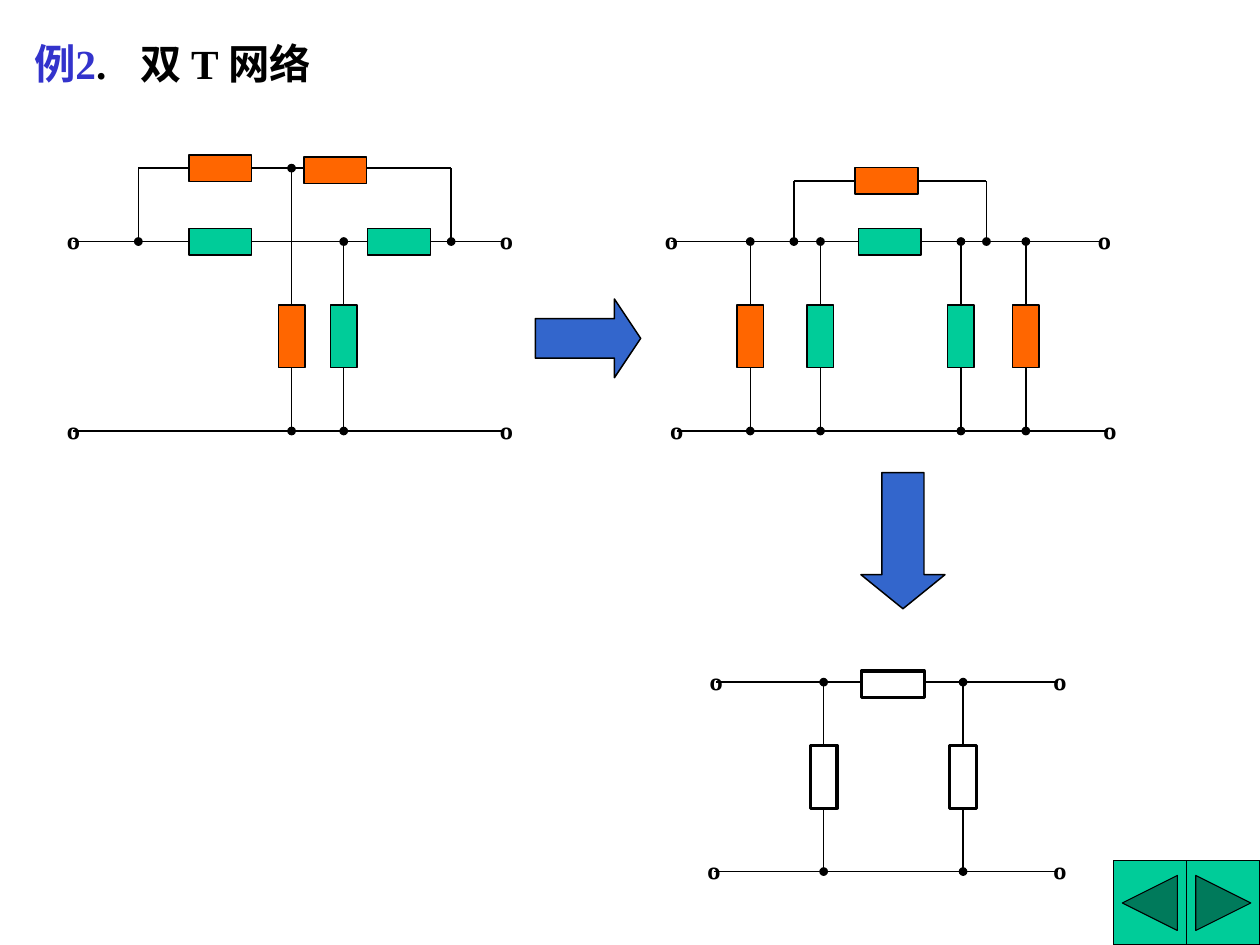
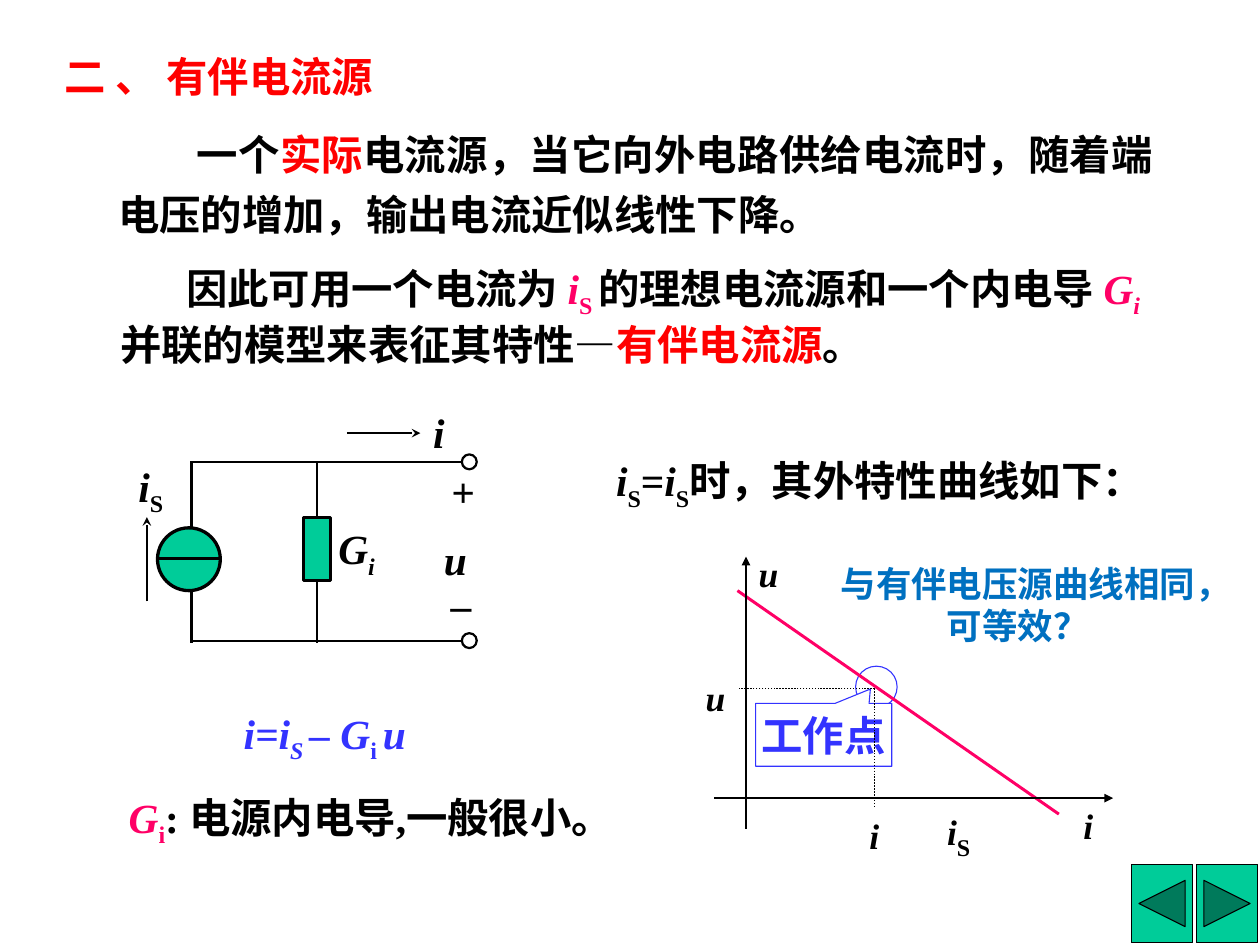
from lxml import etree
from pptx import Presentation
from pptx import util as u
from pptx.dml.color import RGBColor
from pptx.enum import dml, lang, shapes, text
from pptx.oxml import ns

BLACK = RGBColor(0x00, 0x00, 0x00)
WHITE = RGBColor(0xFF, 0xFF, 0xFF)
GREEN = RGBColor(0x00, 0xCC, 0x99)
ORANGE = RGBColor(0xFF, 0x66, 0x00)
ARROW_BLUE = RGBColor(0x33, 0x66, 0xCC)
TITLE_BLUE = RGBColor(0x33, 0x33, 0xCC)
BRIGHT_BLUE = RGBColor(0x33, 0x33, 0xFF)
NOTE_BLUE = RGBColor(0x00, 0x70, 0xC0)
RED = RGBColor(0xFF, 0x00, 0x00)
PINK = RGBColor(0xFF, 0x00, 0x66)

SHAPE = shapes.MSO_SHAPE
ALIGN = text.PP_ALIGN
MIDDLE = text.MSO_ANCHOR.MIDDLE
FIT = text.MSO_AUTO_SIZE.SHAPE_TO_FIT_TEXT

# Run formats
PLAIN = {}
VARIABLE = {"italic": True}
SUB = {"baseline": -25000}
SUB_ITALIC = {**VARIABLE, **SUB}


class Deck:
    """Holds the shared style and the slide being drawn."""

    FONT = {"name": "Times New Roman", "bold": True, "italic": False,
            "language_id": lang.MSO_LANGUAGE_ID.SIMPLIFIED_CHINESE}
    INSETS = (0.12, 0.06)
    RESISTOR = (0.25, 0.59)

    def __init__(self, width, height):
        self.presentation = Presentation()
        self.presentation.slide_width = u.Inches(width)
        self.presentation.slide_height = u.Inches(height)
        self.slide = None

    def new_slide(self, layout, button_left, button_top, button_width, button_height, step):
        """Add a slide with its pair of navigation buttons."""
        self.slide = self.presentation.slides.add_slide(self.presentation.slide_layouts[layout])
        kinds = (SHAPE.ACTION_BUTTON_BACK_OR_PREVIOUS, SHAPE.ACTION_BUTTON_FORWARD_OR_NEXT)
        for number, kind in enumerate(kinds):
            self.shape(kind, button_left + number * step, button_top,
                       button_width, button_height, GREEN, weight=0.75)

    def place(self, shape, left, top, width, height):
        values = {"left": left, "top": top, "width": width, "height": height}
        for name, value in values.items():
            setattr(shape, name, u.Inches(value))

    def set_text(self, shape, runs, size=28, align=ALIGN.LEFT, anchor=text.MSO_ANCHOR.TOP,
                 indent=0, spacing=1.0, tab=None, wrap=True, fit=FIT, insets=INSETS):
        """Fill a shape with one paragraph of (text, colour, format) runs."""
        frame = shape.text_frame
        side, edge = (u.Inches(value) for value in insets)
        settings = {"word_wrap": wrap, "auto_size": fit, "vertical_anchor": anchor,
                    "margin_left": side, "margin_right": side,
                    "margin_top": edge, "margin_bottom": edge}
        for name, value in settings.items():
            setattr(frame, name, value)
        paragraph = frame.paragraphs[0]
        settings = {"alignment": align, "line_spacing": spacing, "space_before": u.Pt(0)}
        for name, value in settings.items():
            setattr(paragraph, name, value)
        properties = paragraph._p.get_or_add_pPr()
        properties.set("marL", "0")
        properties.set("indent", str(u.Inches(indent)))
        etree.SubElement(properties, ns.qn("a:buNone"))
        if tab:
            tabs = etree.SubElement(properties, ns.qn("a:tabLst"))
            etree.SubElement(tabs, ns.qn("a:tab"), pos=str(u.Inches(tab)), algn="l")
        for words, colour, style in runs:
            run = paragraph.add_run()
            run.text = words
            values = {**self.FONT, "size": u.Pt(size), **style}
            baseline = values.pop("baseline", None)
            for name, value in values.items():
                setattr(run.font, name, value)
            run.font.color.rgb = colour
            if baseline:
                run._r.get_or_add_rPr().set("baseline", str(baseline))

    def title(self, left, top, runs, **options):
        self.place(self.slide.shapes.title, left, top, 3.5, 0.59)
        self.set_text(self.slide.shapes.title, runs, **options)

    def body(self, index, left, top, width, height, runs, **options):
        placeholder = self.slide.placeholders[index]
        self.place(placeholder, left, top, width, height)
        self.set_text(placeholder, runs, **options)

    def label(self, left, top, width, height, runs, **options):
        box = self.slide.shapes.add_textbox(*map(u.Inches, (left, top, width, height)))
        self.set_text(box, runs, **options)

    def shape(self, kind, left, top, width, height, fill=None, line=BLACK, weight=1.0,
              adjustments=()):
        shape = self.slide.shapes.add_shape(kind, *map(u.Inches, (left, top, width, height)))
        shape.shadow.inherit = False
        if fill is None:
            shape.fill.background()
        else:
            shape.fill.solid()
            shape.fill.fore_color.rgb = fill
        shape.line.color.rgb = line
        shape.line.width = u.Pt(weight)
        for number, value in enumerate(adjustments):
            shape.adjustments[number] = value
        return shape

    def wire(self, x1, y1, x2, y2, colour=BLACK, weight=1.0, head=None, tail=None, dash=None):
        connector = self.slide.shapes.add_connector(
            shapes.MSO_CONNECTOR.STRAIGHT, *map(u.Inches, (x1, y1, x2, y2)))
        connector.line.color.rgb = colour
        connector.line.width = u.Pt(weight)
        if dash:
            connector.line.dash_style = dash
        properties = connector._element.spPr
        for end, kind in (("a:headEnd", head), ("a:tailEnd", tail)):
            if kind:
                etree.SubElement(properties.get_or_add_ln(), ns.qn(end), type=kind)
        etree.SubElement(properties, ns.qn("a:effectLst"))

    def resistor(self, x, y, colour, weight=1.0, flat=False):
        """Draw a resistor centred on (x, y)."""
        width, height = reversed(self.RESISTOR) if flat else self.RESISTOR
        self.shape(SHAPE.RECTANGLE, x - width / 2, y - height / 2, width, height,
                   colour, weight=weight)

    def rail(self, left, right, y):
        """Draw a horizontal wire with a terminal mark at each end."""
        self.wire(left, y, right, y)
        for x in (left - 0.12, right - 0.1):
            self.label(x, y - 0.22, 0.24, 0.58, [("º", BLACK, PLAIN)],
                       align=ALIGN.CENTER, anchor=MIDDLE)

    def shunt(self, x, top, bottom, colour, weight=1.0):
        """Draw a vertical branch with nodes at both ends."""
        self.wire(x, top, x, bottom, head="oval", tail="oval")
        self.resistor(x, bottom - 0.89, colour, weight)

    def bridge(self, left, right, top, bottom):
        """Draw a wire that loops over a rail."""
        self.wire(left, top, right, top)
        for x in (left, right):
            self.wire(x, top, x, bottom, tail="oval")


def build_twin_t(deck):
    deck.new_slide(5, 10.46, 8.09, 0.69, 0.79, 0.69)
    deck.title(0.2, 0.3, [("例2", TITLE_BLUE, PLAIN), (".\t双 T 网络", BLACK, PLAIN)], tab=1.15)

    # Conversion arrows
    deck.shape(SHAPE.RIGHT_ARROW, 5.03, 2.81, 0.99, 0.74, ARROW_BLUE, adjustments=(0.5, 0.333))
    deck.shape(SHAPE.DOWN_ARROW, 8.09, 4.44, 0.79, 1.28, ARROW_BLUE, adjustments=(0.5, 0.405))

    # Rails and loops of the three networks
    top, bottom = 2.27, 4.05
    last_top, last_bottom = 6.41, 8.19
    for rail in ((0.69, 4.74, top), (0.69, 4.74, bottom),
                 (6.31, 10.36, top), (6.36, 10.41, bottom),
                 (6.73, 9.94, last_top), (6.71, 9.94, last_bottom)):
        deck.rail(*rail)
    deck.bridge(1.3, 4.24, 1.58, top)
    deck.bridge(7.46, 9.27, 1.7, top)

    # Vertical branches
    deck.shunt(2.74, 1.58, bottom, ORANGE)
    for x, colour in ((3.23, GREEN), (7.05, ORANGE), (7.71, GREEN), (9.03, GREEN), (9.64, ORANGE)):
        deck.shunt(x, top, bottom, colour)
    for x in (7.74, 9.05):
        deck.shunt(x, last_top, last_bottom, WHITE, 2.25)

    # Series resistors
    for x, y, colour in ((2.07, 1.58, ORANGE), (3.15, 1.6, ORANGE), (2.07, top, GREEN),
                         (3.75, top, GREEN), (8.33, 1.7, ORANGE), (8.36, top, GREEN)):
        deck.resistor(x, y, colour, flat=True)
    deck.resistor(8.39, 6.43, WHITE, 2.25, flat=True)


def build_current_source(deck):
    deck.new_slide(3, 10.63, 8.12, 0.58, 0.74, 0.61)
    deck.title(0.49, 0.42, [("二 、 有伴电流源", RED, PLAIN)])
    deck.body(1, 0.99, 1.06, 9.97, 1.24, [
        ("一个", BLACK, PLAIN), ("实际", RED, PLAIN),
        ("电流源，当它向外电路供给电流时，随着端电压的增加，输出电流近似线性下降。", BLACK, PLAIN),
    ], align=ALIGN.JUSTIFY, indent=0.74, spacing=1.2)
    deck.body(2, 1.01, 2.41, 10.23, 1.05, [
        ("因此可用一个电流为 ", BLACK, PLAIN), ("i", PINK, VARIABLE), ("S ", PINK, SUB),
        ("的理想电流源和一个内电导 ", BLACK, PLAIN), ("G", PINK, VARIABLE),
        ("i ", PINK, SUB_ITALIC), ("并联的模型来表征其特性—", BLACK, PLAIN),
        ("有伴电流源", RED, PLAIN), ("。", BLACK, PLAIN),
    ], indent=0.62)

    # Operating point on the characteristic
    deck.shape(SHAPE.OVAL, 8.04, 6.26, 0.39, 0.39, WHITE, BRIGHT_BLUE, 0.75)
    callout = deck.shape(SHAPE.RECTANGULAR_CALLOUT, 7.1, 6.61, 1.28, 0.59, WHITE, BRIGHT_BLUE,
                         0.75, (0.343, -0.73))
    deck.set_text(callout, [("工作点", BRIGHT_BLUE, PLAIN)], align=ALIGN.CENTER, anchor=MIDDLE,
                  wrap=False, fit=text.MSO_AUTO_SIZE.NONE)
    deck.wire(9.95, 7.65, 6.93, 5.55, PINK, 2)
    deck.wire(6.71, 7.5, 10.46, 7.5, tail="triangle")
    deck.wire(7.01, 7.79, 7.01, 5.23, tail="triangle")
    for end in ((8.22, 7.59), (6.94, 6.47)):
        deck.wire(8.22, 6.47, *end, dash=dml.MSO_LINE.ROUND_DOT)
    for letter, left, top in (("u", 7.01, 5.13), ("i", 10.06, 7.5),
                              ("u", 6.51, 6.29), ("i", 8.05, 7.59)):
        deck.label(left, top, 0.39, 0.52, [(letter, BLACK, VARIABLE)], size=24)
    deck.label(8.78, 7.5, 0.59, 0.59,
               [("i", BLACK, VARIABLE), ("S", BLACK, {**SUB, "size": u.Pt(28)})], size=24)

    # Source circuit: wires, then parts on top
    top, bottom = 4.34, 6.02
    for y in (top, bottom):
        deck.wire(1.79, y, 4.34, y, weight=1.5)
        deck.shape(SHAPE.OVAL, 4.34, y - 0.07, 0.14, 0.14, weight=1.5)
    for x in (1.8, 2.98):
        deck.wire(x, top, x, 6.04, weight=1.5)
    deck.shape(SHAPE.OVAL, 1.48, 4.96, 0.59, 0.59, GREEN, weight=2.25)
    deck.wire(1.48, 5.25, 2.07, 5.25, weight=2.25)
    deck.resistor(2.98, 5.16, GREEN, 2.25)
    deck.wire(3.26, 4.07, 3.95, 4.07, weight=1.5, tail="stealth")
    deck.wire(1.38, 5.65, 1.38, 4.86, weight=1.5, tail="stealth")
    for letter, left, label_top in (("i", 3.95, 3.77), ("+", 4.12, 4.32),
                                    ("u", 4.05, 4.96), ("_", 4.14, 5.25)):
        deck.label(left, label_top, 0.59, 0.59, [(letter, BLACK, VARIABLE)])
    deck.label(3.06, 4.86, 0.69, 0.59, [("G", BLACK, VARIABLE), ("i", BLACK, SUB_ITALIC)])
    source_name = [("i", BLACK, VARIABLE), ("S", BLACK, SUB)]
    deck.label(1.18, 4.27, 0.59, 0.59, source_name)

    # Equation and remarks
    deck.label(2.17, 6.59, 2.07, 0.59, [
        ("i=i", BRIGHT_BLUE, VARIABLE), ("S ", BRIGHT_BLUE, SUB_ITALIC),
        ("– G", BRIGHT_BLUE, VARIABLE), ("i ", BRIGHT_BLUE, SUB), ("u", BRIGHT_BLUE, VARIABLE)])
    deck.label(1.09, 7.38, 4.93, 0.59, [
        ("G", PINK, VARIABLE), ("i", PINK, SUB), (": 电源内电导,一般很小。", BLACK, PLAIN)])
    deck.label(5.67, 4.22, 5.13, 0.59, [
        *source_name, ("=", BLACK, PLAIN), *source_name,
        ("时，其外特性曲线如下：", BLACK, PLAIN)])
    deck.label(7.77, 5.23, 3.59, 0.91, [("与有伴电压源曲线相同，可等效？", NOTE_BLUE, PLAIN)],
               size=24, align=ALIGN.CENTER, insets=(0.1, 0.05))


def main():
    deck = Deck(11.84, 8.88)
    build_twin_t(deck)
    build_current_source(deck)
    deck.presentation.save("out.pptx")


if __name__ == "__main__":
    main()
